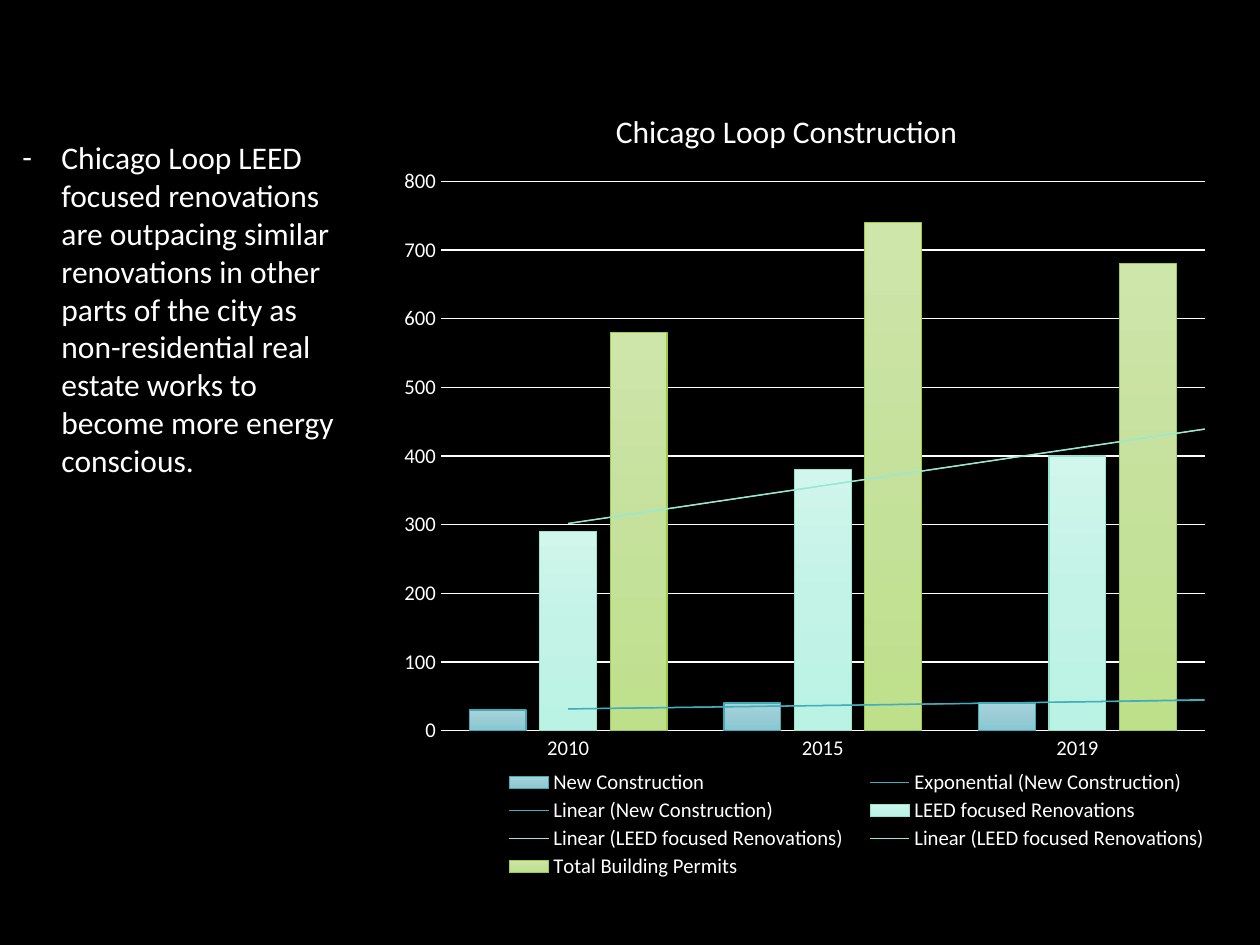
from copy import deepcopy

from pptx import Presentation
from pptx.chart.data import CategoryChartData
from pptx.dml.color import RGBColor
from pptx.enum.chart import XL_CHART_TYPE as ChartType
from pptx.enum.chart import XL_LEGEND_POSITION as LegendPosition
from pptx.enum.chart import XL_TICK_MARK as TickMark
from pptx.enum.text import MSO_AUTO_SIZE as AutoSize
from pptx.oxml import parse_xml
from pptx.oxml.ns import nsdecls, qn
from pptx.util import Inches, Pt

WHITE = "FFFFFF"
CHART_WIDTH, CHART_HEIGHT = 6.51, 5.68


def color(hex_text):
    return RGBColor.from_string(hex_text)


def style_font(font, size):
    font.name = "Calibri"
    font.size = Pt(size)
    font.color.rgb = color(WHITE)


deck = Presentation()
deck.slide_width, deck.slide_height = Inches(10), Inches(7.5)
page = deck.slides.add_slide(deck.slide_layouts[6])
page.background.fill.solid()
page.background.fill.fore_color.rgb = color("000000")

# Commentary with a dash bullet
box = page.shapes.add_textbox(Inches(0.08), Inches(1.05), Inches(2.8), Inches(2.83))
box.text_frame.word_wrap = True
box.text_frame.auto_size = AutoSize.SHAPE_TO_FIT_TEXT
para = box.text_frame.paragraphs[0]
para.text = (
    "Chicago Loop LEED focused renovations are outpacing similar renovations "
    "in other parts of the city as non-residential real estate works to become "
    "more energy conscious."
)
style_font(para.font, 18)
para_props = para._p.get_or_add_pPr()
para_props.set("marL", str(Inches(0.31)))
para_props.set("indent", str(-Inches(0.31)))
para_props.insert(0, parse_xml(f'<a:buFont {nsdecls("a")} typeface="Calibri"/>'))
para_props.insert(1, parse_xml(f'<a:buChar {nsdecls("a")} char="-"/>'))

# Chart data: name, values, gradient stops, outline, trend line colour and types
series_specs = [
    ("New Construction", (30, 40, 40), ("A7D3DB", "99CCD5", "86C7D2"),
     "40AAB9", "41AEBD", ("exp", "linear")),
    ("LEED focused Renovations", (290, 380, 400), ("D1F6EC", "C3F2E6", "BAF3E4"),
     "94E4D0", "97E9D5", ("linear", "linear")),
    ("Total Building Permits", (580, 740, 680), ("CEE6AA", "C5E19C", "BEE08A"),
     "9ECA47", None, ()),
]
data = CategoryChartData()
data.categories = ["2010", "2015", "2019"]
for name, values, *_ in series_specs:
    data.add_series(name, values)

# Clustered column chart
chart = page.shapes.add_chart(
    ChartType.COLUMN_CLUSTERED,
    Inches(3.21), Inches(1.33), Inches(CHART_WIDTH), Inches(CHART_HEIGHT), data,
).chart
chart.has_title = False
style_font(chart.font, 10)
plot = chart.plots[0]
plot.gap_width, plot.overlap = 100, -24
plot.vary_by_categories = False

# Column fills, outlines and trend lines
for series, (_, _, stops, outline, trend_color, trends) in zip(plot.series, series_specs):
    fill = series.format.fill
    fill.gradient()
    fill.gradient_angle = 270
    stop_list = series._element.find(".//" + qn("a:gsLst"))
    stop_list.insert(1, deepcopy(stop_list[0]))
    for index, (stop, stop_color) in enumerate(zip(fill.gradient_stops, stops)):
        stop.position = index / 2
        stop.color.rgb = color(stop_color)
    series.format.line.width = Pt(0.75)
    series.format.line.color.rgb = color(outline)
    for trend in trends:
        series._element.find(qn("c:cat")).addprevious(parse_xml(
            f'<c:trendline {nsdecls("c", "a")}><c:spPr><a:ln w="{Pt(0.75)}"><a:solidFill>'
            f'<a:srgbClr val="{trend_color}"/></a:solidFill></a:ln></c:spPr>'
            f'<c:trendlineType val="{trend}"/><c:forward val="0.5"/>'
            '<c:dispRSqr val="0"/><c:dispEq val="0"/></c:trendline>'
        ))

# Axes and gridlines
for axis in (chart.category_axis, chart.value_axis):
    axis.major_tick_mark = axis.minor_tick_mark = TickMark.NONE
    style_font(axis.tick_labels.font, 12)
chart.value_axis.minimum_scale = 0
chart.value_axis.maximum_scale = 800
chart.value_axis.major_unit = 100
chart.value_axis.has_major_gridlines = True
chart.value_axis.format.line.fill.background()
for line in (chart.category_axis.format.line, chart.value_axis.major_gridlines.format.line):
    line.width = Pt(0.75)
    line.color.rgb = color(WHITE)

# Legend
chart.has_legend = True
chart.legend.position = LegendPosition.BOTTOM
chart.legend.include_in_layout = False
style_font(chart.legend.font, 12)

# Plot and legend positions inside the chart: left, top, width, height in inches
plot_area = chart._chartSpace.find(".//" + qn("c:plotArea"))
legend = chart._chartSpace.find(".//" + qn("c:legend"))
placements = [
    (plot_area, 0, '<c:layoutTarget val="inner"/>', (0.19, 0.11, 6.16, 4.36)),
    (legend, 1, "", (0.58, 4.76, 5.93, 0.91)),
]
for part, position, target, (left, top, width, height) in placements:
    for layout in part.findall(qn("c:layout")):
        part.remove(layout)
    part.insert(position, parse_xml(
        f'<c:layout {nsdecls("c")}><c:manualLayout>{target}'
        '<c:xMode val="edge"/><c:yMode val="edge"/>'
        f'<c:x val="{left / CHART_WIDTH}"/><c:y val="{top / CHART_HEIGHT}"/>'
        f'<c:w val="{width / CHART_WIDTH}"/><c:h val="{height / CHART_HEIGHT}"/>'
        '</c:manualLayout></c:layout>'
    ))

# Chart heading
heading = page.shapes.add_textbox(Inches(4.79), Inches(0.84), Inches(2.94), Inches(0.4))
heading.text_frame.word_wrap = False
heading.text_frame.auto_size = AutoSize.SHAPE_TO_FIT_TEXT
heading_para = heading.text_frame.paragraphs[0]
heading_para.text = "Chicago Loop Construction"
style_font(heading_para.font, 18)

deck.save("out.pptx")
